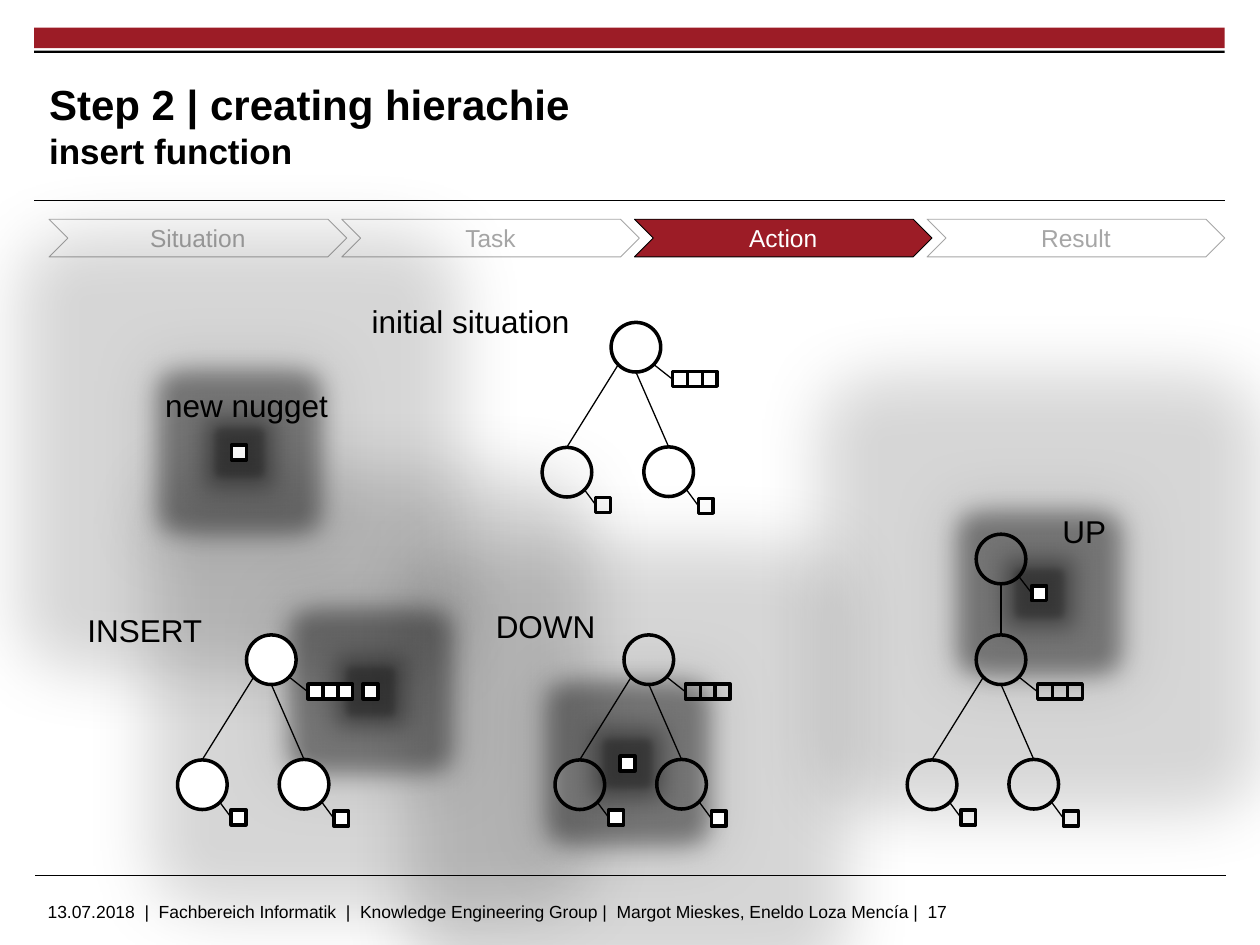
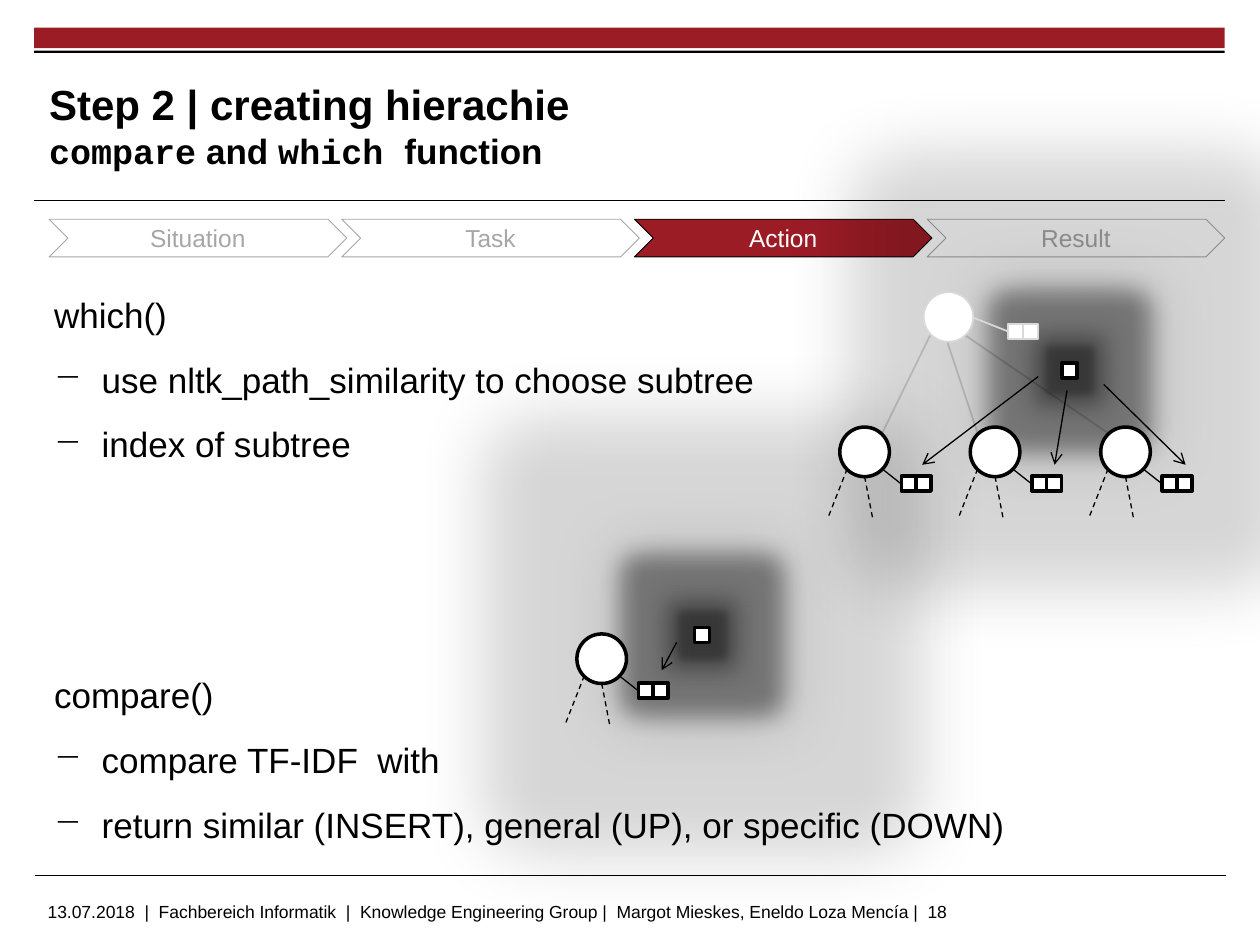
from dataclasses import dataclass

from lxml import etree
from pptx import Presentation
from pptx.dml.color import RGBColor
from pptx.enum.dml import MSO_LINE
from pptx.enum.shapes import MSO_CONNECTOR, MSO_SHAPE
from pptx.enum.text import MSO_ANCHOR, PP_ALIGN
from pptx.oxml import parse_xml
from pptx.oxml.ns import nsdecls, qn
from pptx.slide import Slide
from pptx.util import Cm, Pt

RECTANGLE, CIRCLE, CHEVRON = MSO_SHAPE.RECTANGLE, MSO_SHAPE.OVAL, MSO_SHAPE.CHEVRON
STRAIGHT, DASH = MSO_CONNECTOR.STRAIGHT, MSO_LINE.DASH
MIDDLE, TOP = MSO_ANCHOR.MIDDLE, MSO_ANCHOR.TOP
LEFT, CENTER = PP_ALIGN.LEFT, PP_ALIGN.CENTER

COLORS = {"red": "9C1C26", "black": "000000", "white": "FFFFFF",
          "muted": "A6A6A6", "pale": "D9D9D9"}
SANS, MONO = "Arial", "Courier New"

STAGES = ("Situation", "Task", "Action", "Result")
CURRENT_STAGE = "Action"
FOOTER = ("13.07.2018  |  Fachbereich Informatik  |  Knowledge Engineering Group |  "
          "Margot Mieskes, Eneldo Loza Mencía |  ")

# Lengths are centimetres.
NODE_SIZE = 1.0
TAG_SIZE = 0.3
BODY_PITCH = 35.5  # points from one body line to the next


@dataclass(frozen=True)
class Span:
    text: str
    size: float
    font: str = SANS
    bold: bool = False
    color: str = "black"


@dataclass(frozen=True)
class Stroke:
    color: str = "black"
    width: float = 0.75
    dashed: bool = False
    arrow: bool = False


@dataclass(frozen=True)
class Segment:
    x1: float
    y1: float
    x2: float
    y2: float
    stroke: Stroke = Stroke()


@dataclass(frozen=True)
class Label:
    text: str
    x: float
    y: float
    width: float


@dataclass(frozen=True)
class BodyLine:
    text: str
    bullet: bool = True
    skipped_lines: int = 0


OUTLINE = Stroke(width=2)
PALE = Stroke("pale", 1)
RULE = Stroke(width=0.6)
DASHED = Stroke(dashed=True)
ARROW = Stroke(arrow=True)

# Segments relative to the top left corner of a node.
TAG_LINK = Segment(0.85, 0.84, 1.23, 1.14)
BRANCHES = (Segment(0.15, 0.84, -0.89, 2.51), Segment(0.5, 1, 1.16, 2.51))
LEAF_LINKS = (Segment(-0.54, 3.37, -0.31, 3.68), Segment(1.51, 3.36, 1.76, 3.7))
LEAVES = ((-1.39, 2.52), (0.66, 2.51))
LEAF_TAGS = ((-0.31, 3.53), (1.76, 3.55))
STUBS = (Segment(0.15, 0.84, -0.24, 1.83, DASHED), Segment(0.5, 1, 0.66, 1.83, DASHED))

LABELS = (
    Label("initial situation", 7.21, 5.97, 4.55),
    Label("INSERT", 1.5, 12.19, 2.84),
    Label("DOWN", 9.73, 12.12, 2.54),
    Label("UP", 21.16, 10.19, 1.4),
    Label("new nugget", 3.05, 7.65, 3.84),
)
BODY = (
    BodyLine("which()", bullet=False),
    BodyLine("use nltk_path_similarity to choose subtree"),
    BodyLine("index of subtree"),
    BodyLine("compare()", bullet=False, skipped_lines=3),
    BodyLine("compare TF-IDF  with"),
    BodyLine("return similar (INSERT), general (UP), or specific (DOWN)"),
)


def rgb(name: str) -> RGBColor:
    return RGBColor.from_string(COLORS[name])


def add_span(para, span: Span) -> None:
    run = para.add_run()
    run.text = span.text
    run.font.name = span.font
    run.font.size = Pt(span.size)
    run.font.bold = span.bold
    run.font.color.rgb = rgb(span.color)


def add_form(slide: Slide, kind, x, y, width, height, fill="white", stroke=None):
    shape = slide.shapes.add_shape(kind, Cm(x), Cm(y), Cm(width), Cm(height))
    shape.shadow.inherit = False
    shape.fill.solid()
    shape.fill.fore_color.rgb = rgb(fill)
    if stroke is None:
        shape.line.fill.background()
    else:
        shape.line.color.rgb = rgb(stroke.color)
        shape.line.width = Pt(stroke.width)
    return shape


def add_segment(slide: Slide, segment: Segment, x: float = 0, y: float = 0) -> None:
    """Draw a segment moved by x and y."""
    line = slide.shapes.add_connector(
        STRAIGHT, Cm(x + segment.x1), Cm(y + segment.y1),
        Cm(x + segment.x2), Cm(y + segment.y2))
    stroke = segment.stroke
    line.line.color.rgb = rgb(stroke.color)
    line.line.width = Pt(stroke.width)
    if stroke.dashed:
        line.line.dash_style = DASH
    if stroke.arrow:
        etree.SubElement(line.line._get_or_add_ln(), qn("a:tailEnd"), type="arrow")
    etree.SubElement(line.element.spPr, qn("a:effectLst"))


def add_text_box(slide: Slide, x, y, width, height, anchor=TOP, wrap=True):
    box = slide.shapes.add_textbox(Cm(x), Cm(y), Cm(width), Cm(height))
    box.text_frame.word_wrap = wrap
    box.text_frame.vertical_anchor = anchor
    return box.text_frame


def add_circle(slide: Slide, x: float, y: float, stroke: Stroke = OUTLINE) -> None:
    add_form(slide, CIRCLE, x, y, NODE_SIZE, NODE_SIZE, stroke=stroke)


def add_tags(slide: Slide, x: float, y: float, count: int = 1, stroke: Stroke = OUTLINE):
    """Draw a row of touching squares and return the last one."""
    for index in range(count):
        tag = add_form(slide, RECTANGLE, x + index * TAG_SIZE, y,
                       TAG_SIZE, TAG_SIZE, stroke=stroke)
    return tag


def add_nugget(slide: Slide, x: float, y: float) -> None:
    """Draw a single square with a wide glow around a tighter shadow."""
    tag = add_tags(slide, x, y)
    properties = tag.element.spPr
    haze = '<a:srgbClr val="000000"><a:alpha val="40000"/></a:srgbClr>'
    effects = parse_xml(
        f'<a:effectLst {nsdecls("a")}>'
        f'<a:glow rad="{Cm(1)}">{haze}</a:glow>'
        f'<a:outerShdw blurRad="{Cm(0.12)}" sx="270000" sy="270000" algn="ctr"'
        f' rotWithShape="0">{haze}</a:outerShdw></a:effectLst>')
    properties.replace(properties.find(qn("a:effectLst")), effects)


def add_tagged_node(slide: Slide, x: float, y: float, tag_count: int) -> None:
    add_circle(slide, x, y)
    add_tags(slide, x + 1.24, y + 0.99, tag_count)
    add_segment(slide, TAG_LINK, x, y)


def add_tree(slide: Slide, x: float, y: float, nugget=None) -> None:
    """Draw a root with two leaves; a nugget lies behind the leaf tags."""
    add_tagged_node(slide, x, y, 3)
    for dx, dy in LEAVES:
        add_circle(slide, x + dx, y + dy)
    for branch in BRANCHES:
        add_segment(slide, branch, x, y)
    if nugget:
        add_nugget(slide, *nugget)
    for (dx, dy), link in zip(LEAF_TAGS, LEAF_LINKS):
        add_tags(slide, x + dx, y + dy)
        add_segment(slide, link, x, y)


def add_subtree(slide: Slide, x: float, y: float) -> None:
    """Draw a node whose children are only hinted at by dashed stubs."""
    add_tagged_node(slide, x, y, 2)
    for stub in STUBS:
        add_segment(slide, stub, x, y)


def add_stages(slide: Slide) -> None:
    for index, stage in enumerate(STAGES):
        current = stage == CURRENT_STAGE
        fill, line, ink = (("red", "black", "white") if current
                           else ("white", "muted", "muted"))
        chevron = add_form(slide, CHEVRON, 0.99 + index * 5.9, 4.42, 6, 0.76,
                           fill, Stroke(line, 0.5))
        chevron.text_frame.vertical_anchor = MIDDLE
        para = chevron.text_frame.paragraphs[0]
        para.alignment = CENTER
        add_span(para, Span(stage, 14, color=ink))


def add_frame(deck, number: int, subtitle: tuple[Span, ...]) -> Slide:
    """Add a slide with bands, rules, footer, title and stage chevrons."""
    slide = deck.slides.add_slide(deck.slide_layouts[6])
    add_form(slide, RECTANGLE, 0.69, 0.56, 24, 0.41, "red")
    add_segment(slide, Segment(0.69, 4.04, 24.69, 4.04, RULE))
    add_form(slide, RECTANGLE, 0.69, 1.02, 24, 0.05, "black")
    add_segment(slide, Segment(0.71, 17.65, 24.71, 17.65, RULE))
    footer = add_text_box(slide, 0.71, 18.03, 20.02, 0.64)
    add_span(footer.paragraphs[0], Span(f"{FOOTER}{number}", 10))

    title = add_text_box(slide, 0.99, 1.35, 18.44, 2.34, MIDDLE)
    title.margin_left = title.margin_right = title.margin_top = title.margin_bottom = 0
    para = title.paragraphs[0]
    add_span(para, Span("Step 2 | creating hierachie", 24, bold=True))
    para.add_line_break()
    for span in subtitle:
        add_span(para, span)
    add_stages(slide)
    return slide


def add_body(slide: Slide) -> None:
    frame = add_text_box(slide, 1.09, 5.54, 23.7, 11.43)
    frame.margin_left = frame.margin_right = 0
    for index, line in enumerate(BODY):
        para = frame.add_paragraph() if index else frame.paragraphs[0]
        para.alignment = LEFT
        para.line_spacing = 1.3
        para.space_before = Pt(2 + line.skipped_lines * BODY_PITCH)
        para.space_after = Pt(3.7)
        if line.bullet:
            properties = para._p.get_or_add_pPr()
            properties.set("marL", str(Cm(0.96)))
            properties.set("indent", str(-Cm(0.96)))
            etree.SubElement(properties, qn("a:buChar"), char="−")
        add_span(para, Span(line.text, 20))


def build_insert_slide(deck) -> None:
    slide = add_frame(deck, 17, (Span("insert function", 20, bold=True),))
    add_nugget(slide, 4.67, 8.97)
    add_tree(slide, 12.32, 6.5)
    add_nugget(slide, 7.32, 13.79)
    add_tree(slide, 4.97, 12.8)
    add_tree(slide, 12.58, 12.8, nugget=(12.5, 15.24))
    add_tree(slide, 19.68, 12.8)
    add_circle(slide, 19.68, 10.77)
    add_segment(slide, Segment(20.18, 11.77, 20.18, 12.8))
    add_segment(slide, Segment(20.53, 11.61, 20.8, 11.96))
    add_nugget(slide, 20.8, 11.81)
    for label in LABELS:
        frame = add_text_box(slide, label.x, label.y, label.width, 1.02, wrap=False)
        frame.paragraphs[0].alignment = CENTER
        add_span(frame.paragraphs[0], Span(label.text, 18))


def build_compare_slide(deck) -> None:
    slide = add_frame(deck, 18, (
        Span("compare", 20, MONO, True), Span(" and ", 20, bold=True),
        Span("which ", 20, MONO, True), Span("function", 20, bold=True)))
    for ends in ((18.75, 6.76, 17.78, 8.74), (19.1, 6.9, 19.71, 8.74),
                 (19.46, 6.76, 22.35, 8.74)):
        add_segment(slide, Segment(*ends, PALE))
    add_body(slide)

    add_nugget(slide, 14, 12.65)
    add_segment(slide, Segment(13.64, 12.95, 13.34, 13.51, ARROW))
    add_subtree(slide, 11.63, 12.78)

    add_nugget(slide, 21.41, 7.32)
    for index in range(3):
        add_subtree(slide, 16.93 + index * 2.63, 8.61)
    add_circle(slide, 18.62, 5.89, PALE)
    add_tags(slide, 20.32, 6.53, 2, PALE)
    add_segment(slide, Segment(19.61, 6.4, 20.32, 6.68, PALE))
    for ends in ((20.93, 7.59, 18.59, 9.37), (21.51, 7.87, 21.26, 9.37),
                 (22.25, 7.75, 23.9, 9.37)):
        add_segment(slide, Segment(*ends, ARROW))


def main() -> None:
    deck = Presentation()
    deck.slide_width, deck.slide_height = Cm(25.4), Cm(19.05)
    build_insert_slide(deck)
    build_compare_slide(deck)
    deck.save("out.pptx")


if __name__ == "__main__":
    main()
